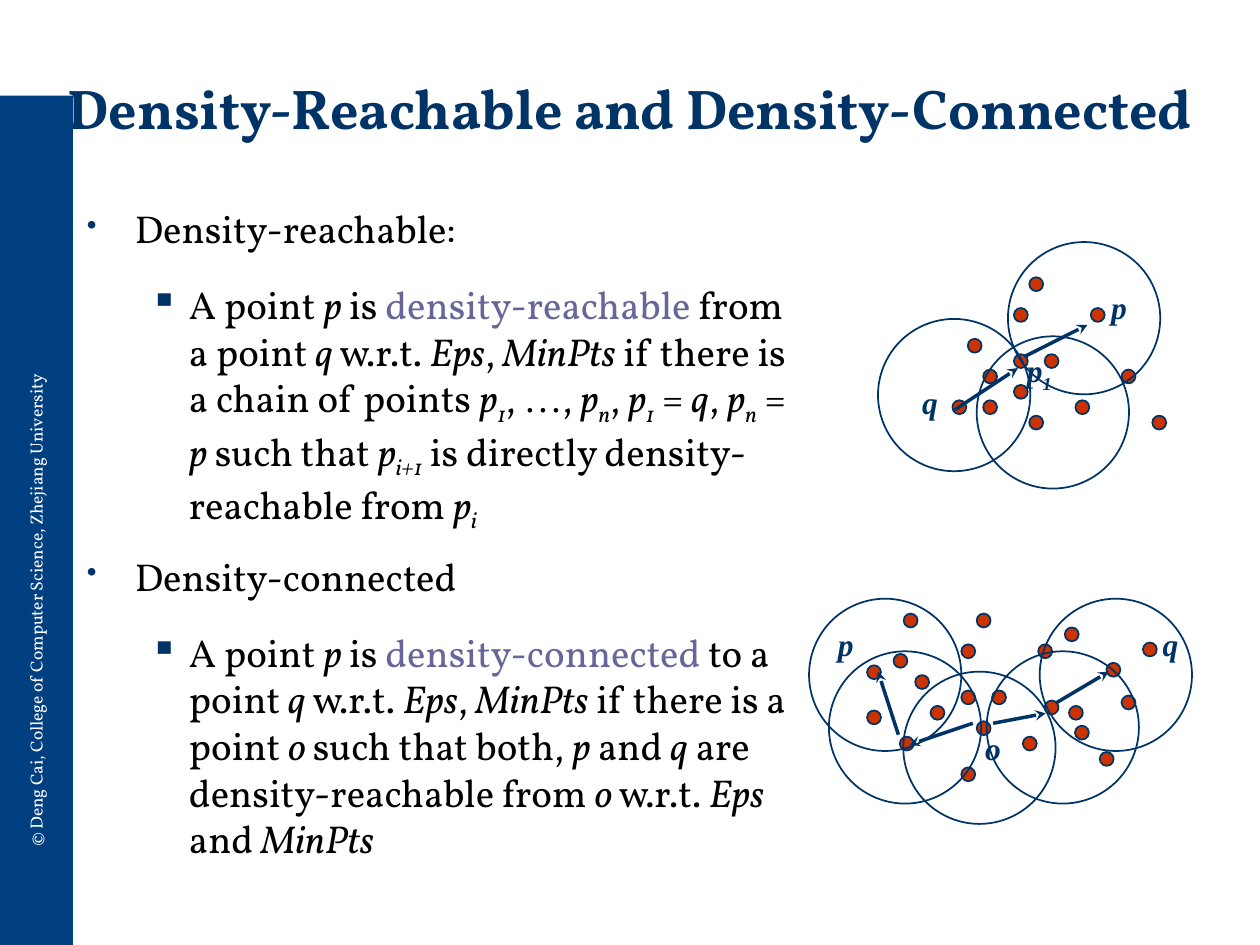
from lxml.etree import SubElement
from pptx import Presentation
from pptx.dml.color import RGBColor
from pptx.enum.shapes import MSO_CONNECTOR, MSO_SHAPE
from pptx.enum.text import MSO_ANCHOR, PP_ALIGN
from pptx.oxml.ns import qn
from pptx.util import Cm, Pt

NAVY = RGBColor(0x00, 0x33, 0x66)
SIDEBAR_BLUE = RGBColor(0x00, 0x3F, 0x80)
RED = RGBColor(0xCC, 0x33, 0x00)
PURPLE = RGBColor(0x66, 0x66, 0x99)
BLACK = RGBColor(0x00, 0x00, 0x00)
WHITE = RGBColor(0xFF, 0xFF, 0xFF)
SERIF = "Vollkorn"
LABEL_FONT = "Times New Roman"

GRID = 0.31
DOT_SIZE = 0.28
CIRCLE_SIZE = 3.07

# First mark of a piece: * italic, _ italic subscript, # key term, ~ label font
PARAGRAPHS = [
    (0, "Density-reachable:"),
    (1, "A point |*p| is |#density-reachable| from a point |*q| w.r.t. |*Eps|, "
        "|*MinPts| if there is a chain of points |*p|_1|, |~…|, |*p|_n|, |*p|_1| = "
        "|*q|, |*p|_n| = |*p| such that |*p|_i+1| is directly density-reachable "
        "from |*p|_i"),
    (0, "Density-connected"),
    (1, "A point |*p| is |#density-connected| to a point |*q| w.r.t. |*Eps|, "
        "|*MinPts| if there is a point |*o |such that both, |*p| and |*q| are "
        "density-reachable from |*o| w.r.t. |*Eps| and |*MinPts"),
]

# Dots are in grid steps from the figure's origin; the rest is in cm.
FIGURES = [
    {   # density-connected
        "origin": (18.14, 12.37),
        "dots": [(1, 4), (4, 5), (4, 2), (0, 8), (2, 6), (4, 10), (5, 7), (5, 0),
                 (11, 6), (9, 2), (6, 5), (8, 8), (13, 9), (-2.13, 6.3),
                 (14.42, 5.33), (9.42, 5.65), (11.39, 7.29), (15.81, 1.88),
                 (10.73, 0.9), (13.44, 3.2), (-0.41, 2.62), (-2.13, 3.36),
                 (0.25, 0)],
        "circles": [(16.71, 13.13), (18.21, 13.54), (19.89, 13.13),
                    (20.96, 12.07), (16.31, 12.07)],
        "arrows": [(19.61, 14.58, 18.34, 15.01), (20.02, 14.58, 21.08, 14.38),
                   (18.11, 14.81, 17.7, 13.54), (21.29, 14.17, 22.35, 13.54)],
        "labels": [("*p", 16.64, 12.47), ("*q", 23.19, 12.47), ("*o", 19.61, 14.58)],
    },
    {   # density-reachable
        "origin": (19.2, 5.59),
        "dots": [(1, 4), (4, 5), (4, 2), (0, 8), (2, 6), (2, 8), (5, 9), (5, 0),
                 (11, 6), (9, 2), (4, 7), (6, 5), (8, 8), (13, 9)],
        "circles": [(19.69, 6.78), (17.7, 6.43), (20.32, 4.88)],
        "arrows": [(20.65, 7.19, 21.92, 6.55), (19.25, 8.26, 20.52, 7.42)],
        "labels": [("*p", 22.15, 5.69), ("*q", 18.34, 7.59), ("*p|_1", 20.45, 6.96)],
    },
]


def add_marked_runs(para, marked, name, size, color, bold=False):
    """Add the pieces between bars as runs, styled by their first mark."""
    for piece in marked.split("|"):
        mark = piece[0] if piece[0] in "*_#~" else ""
        span = para.add_run()
        span.text = piece[len(mark):]
        span.font.name = LABEL_FONT if mark == "~" else name
        span.font.size = Pt(size)
        span.font.bold = bold
        span.font.italic = mark in ("*", "_")
        span.font.color.rgb = PURPLE if mark == "#" else color
        if mark == "_":
            span.font._element.set("baseline", "-25000")


def add_ellipse(page, left, top, size):
    ellipse = page.shapes.add_shape(MSO_SHAPE.OVAL, Cm(left), Cm(top), Cm(size), Cm(size))
    ellipse.shadow.inherit = False
    ellipse.fill.background()
    ellipse.line.color.rgb = NAVY
    ellipse.line.width = Pt(1)
    return ellipse


deck = Presentation()
deck.slide_width, deck.slide_height = Cm(25.4), Cm(19.05)
page = deck.slides.add_slide(deck.slide_layouts[5])

# Sidebar
sidebar = page.shapes.add_shape(MSO_SHAPE.RECTANGLE, 0, Cm(1.93), Cm(1.47), Cm(17.12))
sidebar.shadow.inherit = False
sidebar.fill.solid()
sidebar.fill.fore_color.rgb = SIDEBAR_BLUE
sidebar.line.fill.background()

copyright_box = page.shapes.add_textbox(Cm(-6.78), Cm(9.47), Cm(15.01), Cm(0.69))
copyright_box.rotation = 270
copyright_box.text_frame.word_wrap = True
add_marked_runs(copyright_box.text_frame.paragraphs[0],
                "© Deng Cai, College of Computer Science, Zhejiang University",
                SERIF, 10, WHITE)

# Title
title = page.shapes.title
title.left, title.top, title.width, title.height = 0, Cm(1.07), Cm(25.4), Cm(2.34)
title.text_frame.text = "Density-Reachable and Density-Connected"
title.text_frame.vertical_anchor = MSO_ANCHOR.MIDDLE
para = title.text_frame.paragraphs[0]
para.alignment = PP_ALIGN.CENTER
para.line_spacing = 0.9
font = para.runs[0].font
font.name, font.size, font.bold = SERIF, Pt(32), True
font.color.rgb = NAVY

# Definitions
body = page.shapes.add_textbox(Cm(1.5), Cm(4.01), Cm(14.81), Cm(13.97))
body.text_frame.word_wrap = True
for index, (level, marked) in enumerate(PARAGRAPHS):
    para = body.text_frame.paragraphs[0] if index == 0 else body.text_frame.add_paragraph()
    para.level = level
    para.space_before = Pt(11.1 if index else 0)
    para.space_after = Pt(0 if level else 5.55)
    margin, hanging, bullet, percent = [(0.97, 0.97, "•", 75), (2.06, 0.79, "▪", 100)][level]
    properties = para._p.get_or_add_pPr()
    properties.set("marL", str(Cm(margin)))
    properties.set("indent", str(-Cm(hanging)))
    bullet_color = SubElement(properties, qn("a:buClr"))
    SubElement(bullet_color, qn("a:srgbClr"), val=str(NAVY))
    SubElement(properties, qn("a:buSzPct"), val=str(percent * 1000))
    SubElement(properties, qn("a:buChar"), char=bullet)
    add_marked_runs(para, marked, SERIF, 22.2, BLACK)

# Point clouds with their neighbourhoods
for figure in FIGURES:
    origin_left, origin_top = figure["origin"]
    for column, row in figure["dots"]:
        dot = add_ellipse(page, origin_left + column * GRID, origin_top + row * GRID, DOT_SIZE)
        dot.fill.solid()
        dot.fill.fore_color.rgb = RED
    for left, top in figure["circles"]:
        add_ellipse(page, left, top, CIRCLE_SIZE)
    for ends in figure["arrows"]:
        arrow = page.shapes.add_connector(MSO_CONNECTOR.STRAIGHT, *map(Cm, ends))
        arrow.line.color.rgb = NAVY
        arrow.line.width = Pt(2)
        SubElement(arrow.line._get_or_add_ln(), qn("a:tailEnd"), type="stealth")
        SubElement(arrow._element.spPr, qn("a:effectLst"))
    for marked, left, top in figure["labels"]:
        width = 1.7 if "|" in marked else 1.07
        label = page.shapes.add_textbox(Cm(left), Cm(top), Cm(width), Cm(1.27))
        label.text_frame.word_wrap = True
        add_marked_runs(label.text_frame.paragraphs[0], marked, LABEL_FONT, 18, NAVY, bold=True)

deck.save("out.pptx")
